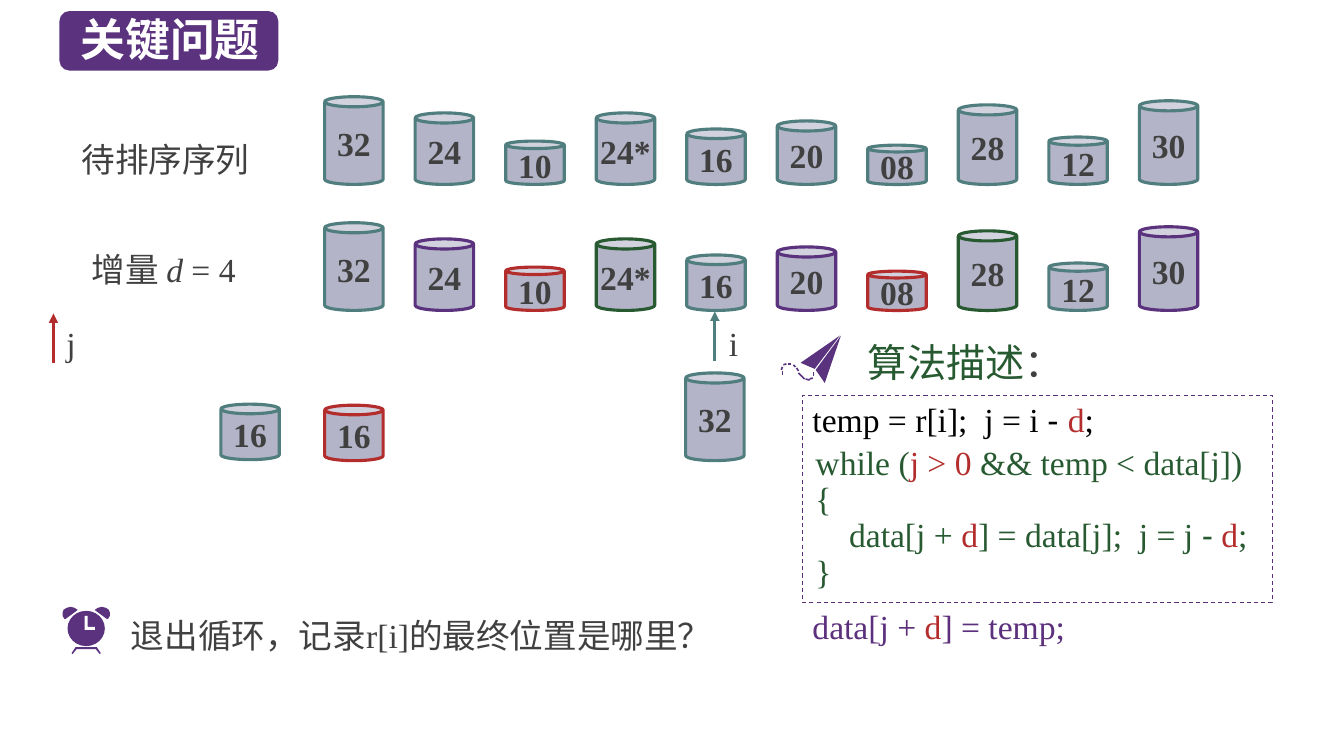
from dataclasses import dataclass, field
from math import hypot

from lxml.etree import SubElement
from pptx import Presentation
from pptx.dml.color import RGBColor
from pptx.enum.dml import MSO_LINE
from pptx.enum.shapes import MSO_CONNECTOR, MSO_SHAPE
from pptx.enum.text import MSO_ANCHOR, PP_ALIGN
from pptx.oxml.ns import qn
from pptx.util import Inches, Pt

SERIF, SANS = "Times New Roman", "Noto Sans CJK SC"
TEAL, RED, GREEN, PURPLE = "507D7D", "B42D2D", "285A32", "5A327D"
GRAY, WHITE, BLACK, LILAC = "404040", "FFFFFF", "000000", "B4B4C8"


@dataclass
class Run:
    text: str
    color: str = GRAY
    fmt: dict = field(default_factory=dict)


@dataclass
class Label:
    box: tuple
    lines: list
    spacing: object = None


@dataclass
class Can:
    text: str
    left: float
    bottom: float
    color: str = TEAL


@dataclass
class Pointer:
    x: float
    top: float
    color: str


prs = Presentation()
prs.slide_width, prs.slide_height = Inches(13.33), Inches(7.5)
s = prs.slides.add_slide(prs.slide_layouts[6])


def rgb(color: str) -> RGBColor:
    return RGBColor.from_string(color)


def paint(sp, fill=None, line=None, width=2.25) -> None:
    sp.shadow.inherit = False
    if fill:
        sp.fill.solid()
        sp.fill.fore_color.rgb = rgb(fill)
    else:
        sp.fill.background()
    if line:
        sp.line.color.rgb = rgb(line)
        sp.line.width = Pt(width)
    else:
        sp.line.fill.background()


def add_shape(kind, box: tuple, fill=None, line=None, width=2.25):
    sp = s.shapes.add_shape(kind, *map(Inches, box))
    paint(sp, fill, line, width)
    return sp


def write(p, runs: list) -> None:
    for run in runs:
        r = p.add_run()
        r.text = run.text
        fmt = {"name": SERIF, "size": Pt(24), **run.fmt}
        for name, value in fmt.items():
            setattr(r.font, name, value)
        r.font.color.rgb = rgb(run.color)
        SubElement(r.font._element, qn("a:ea")).set("typeface", SANS)


def fill_text(tf, lines: list, spacing=None) -> None:
    tf.word_wrap = True
    tf.vertical_anchor = MSO_ANCHOR.TOP
    for i, runs in enumerate(lines):
        p = tf.add_paragraph() if i else tf.paragraphs[0]
        p.alignment = PP_ALIGN.LEFT
        if spacing:
            p.line_spacing = spacing
        write(p, runs)


def add_label(label: Label) -> None:
    sp = s.shapes.add_textbox(*map(Inches, label.box))
    fill_text(sp.text_frame, label.lines, label.spacing)


def add_can(can: Can) -> None:
    height = 0.23 + 0.02 * int(can.text.strip("*"))
    sp = add_shape(MSO_SHAPE.CAN, (can.left, can.bottom - height, 0.58, height), LILAC, can.color)
    sp.adjustments[0] = 0.173
    tf = sp.text_frame
    tf.word_wrap = False
    tf.vertical_anchor = MSO_ANCHOR.MIDDLE
    p = tf.paragraphs[0]
    p.alignment = PP_ALIGN.CENTER
    write(p, [Run(can.text, fmt={"bold": True})])


def add_pointer(pointer: Pointer) -> None:
    x, top = Inches(pointer.x), Inches(pointer.top)
    cn = s.shapes.add_connector(MSO_CONNECTOR.STRAIGHT, x, top + Inches(0.49), x, top)
    cn.line.color.rgb = rgb(pointer.color)
    cn.line.width = Pt(2.25)
    SubElement(cn.line._get_or_add_ln(), qn("a:tailEnd")).set("type", "triangle")
    SubElement(cn._element.spPr, qn("a:effectLst"))


def add_polygon(points: list, fill: str = PURPLE) -> None:
    pts = [(Inches(x), Inches(y)) for x, y in points]
    fb = s.shapes.build_freeform(*pts[0])
    fb.add_line_segments(pts[1:], close=True)
    paint(fb.convert_to_shape(), fill)


def add_dash(x1: float, y1: float, x2: float, y2: float) -> None:
    scale = 0.008 / hypot(x2 - x1, y2 - y1)
    dx, dy = (y1 - y2) * scale, (x2 - x1) * scale
    add_polygon([(x1 + dx, y1 + dy), (x2 + dx, y2 + dy), (x2 - dx, y2 - dy), (x1 - dx, y1 - dy)])


def mirror(points: list, axis: float) -> list:
    return [(2 * axis - x, y) for x, y in points]


def add_clock() -> None:
    axis = 0.855
    ear = [(0.64, 6.14), (0.62, 6.11), (0.62, 6.08), (0.63, 6.05), (0.66, 6.03),
           (0.7, 6.02), (0.74, 6.03), (0.77, 6.05), (0.76, 6.06), (0.65, 6.14)]
    half_stand = [(axis, 6.42), (0.75, 6.42), (0.71, 6.48), (0.72, 6.49), (0.76, 6.44), (axis, 6.44)]
    add_polygon(half_stand + mirror(half_stand, axis)[::-1])
    add_polygon(ear)
    add_polygon(mirror(ear, axis))
    add_shape(MSO_SHAPE.OVAL, (0.67, 6.06, 0.37, 0.35), PURPLE)
    add_polygon([(0.84, 6.11), (0.87, 6.11), (0.87, 6.22), (0.94, 6.22), (0.94, 6.25), (0.84, 6.25)], WHITE)


def add_plane() -> None:
    add_polygon([(8.34, 3.33), (8.18, 3.8), (8.09, 3.67)])
    add_polygon([(8.33, 3.33), (8.08, 3.66), (7.94, 3.6)])
    for dash in [(8.07, 3.69, 8.07, 3.73), (8.06, 3.75, 8.03, 3.76), (8.03, 3.77, 7.99, 3.76),
                 (7.98, 3.76, 7.95, 3.73), (7.95, 3.73, 7.92, 3.7), (7.92, 3.68, 7.9, 3.65),
                 (7.89, 3.64, 7.87, 3.62), (7.85, 3.61, 7.82, 3.61), (7.8, 3.61, 7.77, 3.62),
                 (7.76, 3.72, 7.76, 3.68), (7.75, 3.67, 7.76, 3.64)]:
        add_dash(*dash)


def main() -> None:
    add_shape(MSO_SHAPE.ROUNDED_RECTANGLE, (0.59, 0.11, 2.17, 0.59), PURPLE)
    values = ["32", "24", "10", "24*", "16", "20", "08", "28", "12", "30"]
    groups = [TEAL, PURPLE, RED, GREEN]
    pitch = (11.3 - 3.22) / (len(values) - 1)
    for i, value in enumerate(values):
        left = 3.22 + i * pitch
        add_can(Can(value, left, 1.83))
        add_can(Can(value, left, 3.08, groups[i % len(groups)]))
    for can in [Can("16", 2.19, 4.56), Can("32", 6.8, 4.57), Can("16", 3.22, 4.57, RED)]:
        add_can(can)
    for pointer in [Pointer(7.09, 3.09, TEAL), Pointer(0.53, 3.11, RED)]:
        add_pointer(pointer)

    add_clock()
    add_plane()
    sp = add_shape(MSO_SHAPE.RECTANGLE, (7.96, 3.92, 4.66, 2.06), line="5C307D", width=0.75)
    sp.line.dash_style = MSO_LINE.DASH
    d = Run("d", RED)
    fill_text(sp.text_frame, [[Run("temp = r[i];  j = i ", BLACK), Run("- ", BLACK, {"name": "Arial"}),
                               d, Run(";", BLACK)]], Pt(28))
    loop = [
        [Run("while (", GREEN), Run("j > 0", RED), Run(" && temp < data[j])", GREEN)],
        [Run("{", GREEN)],
        [Run("    data[j + ", GREEN), d, Run("] = data[j];  j = j ", GREEN),
         Run("-", GREEN, {"name": "Arial"}), Run(" d", RED), Run(";", GREEN)],
        [Run("}", GREEN)],
    ]
    for label in [
        Label((0.7, 0.07, 2.04, 0.64), [[Run("关键问题", WHITE, {"name": SANS, "size": Pt(32), "bold": True})]]),
        Label((0.71, 1.33, 2.06, 0.5), [[Run("待排序序列")]]),
        Label((0.81, 2.42, 1.82, 0.5), [[Run("增量 "), Run("d", fmt={"italic": True}), Run(" = 4")]]),
        Label((7.13, 3.15, 0.31, 0.5), [[Run("i")]]),
        Label((0.56, 3.15, 0.31, 0.5), [[Run("j")]]),
        Label((1.2, 5.93, 7.15, 0.63), [[Run("退出循环，记录r[i]的最终位置是哪里？")]], 1.3),
        Label((8.51, 3.31, 2.88, 0.57), [[Run("算法描述", GREEN, {"name": SANS, "size": Pt(28)}),
                                          Run("：", fmt={"name": SANS, "size": Pt(28)})]]),
        Label((7.99, 4.37, 4.64, 1.56), loop, Pt(26)),
        Label((7.96, 5.97, 3.81, 0.49), [[Run("data[j + ", "5C307D"), d, Run("] = temp;", "5C307D")]], Pt(28)),
    ]:
        add_label(label)
    prs.save("out.pptx")


if __name__ == "__main__":
    main()
